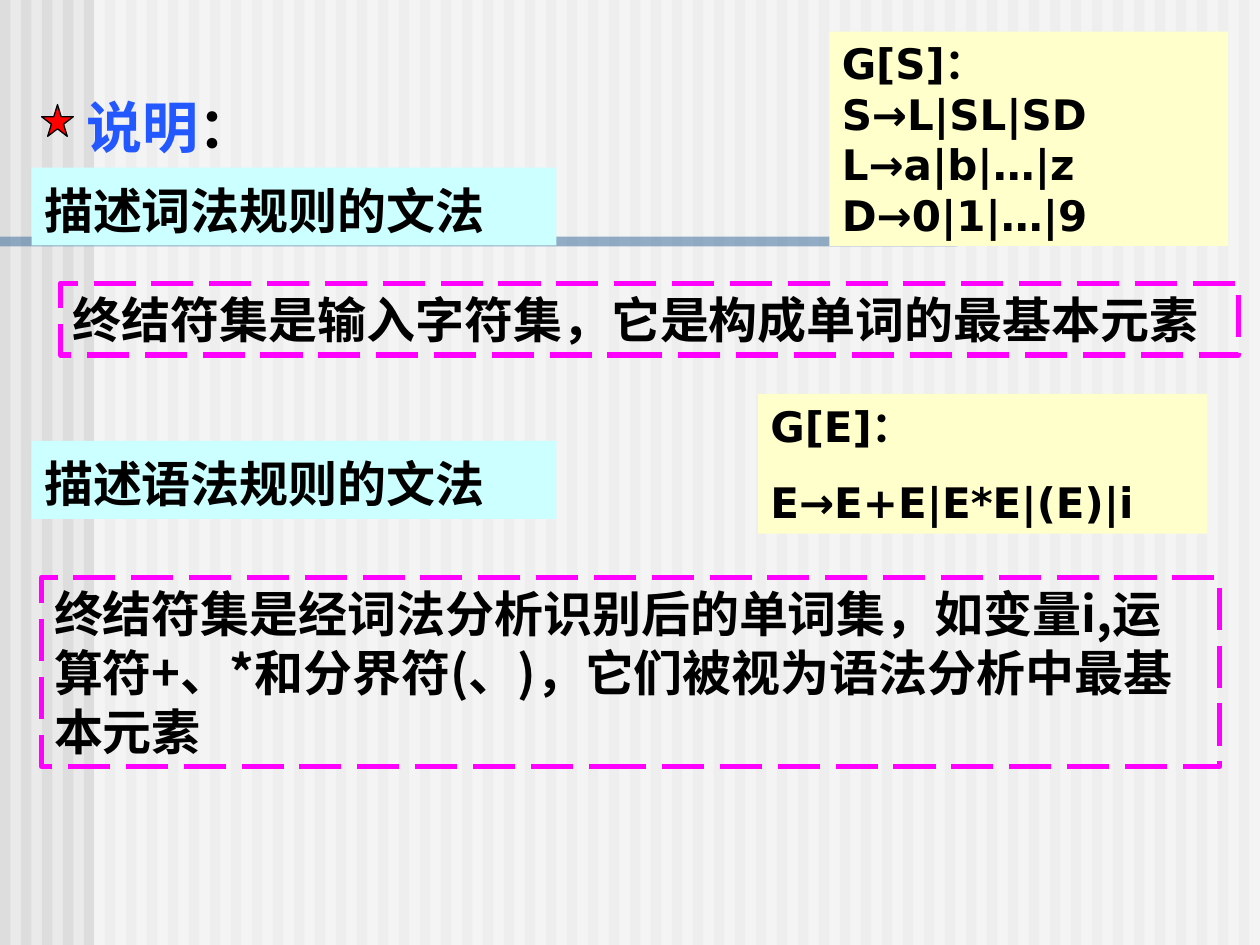
from lxml.etree import SubElement
from pptx import Presentation
from pptx.dml.color import RGBColor
from pptx.enum.dml import MSO_LINE
from pptx.enum.shapes import MSO_SHAPE
from pptx.enum.text import MSO_ANCHOR, MSO_AUTO_SIZE, PP_ALIGN
from pptx.oxml.ns import qn
from pptx.util import Cm, Pt

WIDE, HIGH = 25.4, 19.05
SANS, HAN = "DejaVu Sans", "Noto Sans CJK SC"

deck = Presentation()
deck.slide_width, deck.slide_height = Cm(WIDE), Cm(HIGH)
slide = deck.slides.add_slide(deck.slide_layouts[5])


def paint(fill, tone, alpha=None):
    """Set a solid fill from a hex string; no tone means no fill."""
    if tone is None:
        fill.background()
        return
    fill.solid()
    fill.fore_color.rgb = RGBColor.from_string(tone)
    if alpha:
        clr = fill._xPr.find(qn("a:solidFill"))[0]
        SubElement(clr, qn("a:alpha"), val=str(alpha * 1000))


def put(text, at, shape=None, kind=MSO_SHAPE.RECTANGLE, fill=None, alpha=None,
        edge=None, weight=3, dash=None, size=28, font=HAN, tones=("000000",),
        anchor=MSO_ANCHOR.TOP, gap=0, lead=1):
    """Place a shape; lines are split at newlines, runs at tabs."""
    left, top, width, height = (Cm(n) for n in at)
    if shape is None:
        shape = slide.shapes.add_shape(kind, left, top, width, height)
        shape.shadow.inherit = False
    else:
        shape.left, shape.top = left, top
        shape.width, shape.height = width, height
    paint(shape.fill, fill, alpha)
    paint(shape.line.fill, edge)
    if edge:
        shape.line.width = Pt(weight)
        shape.line.dash_style = dash
    if not text:
        return
    frame = shape.text_frame
    frame.word_wrap = True
    frame.auto_size = MSO_AUTO_SIZE.NONE
    frame.vertical_anchor = anchor
    for i, line in enumerate(text.split("\n")):
        para = frame.add_paragraph() if i else frame.paragraphs[0]
        para.alignment = PP_ALIGN.LEFT
        para.line_spacing = lead
        para.space_before = Pt(gap if i else 0)
        for part, tone in zip(line.split("\t"), tones):
            run = para.add_run()
            run.text = part
            run.font.size, run.font.bold = Pt(size), True
            paint(run.font.fill, tone)
            run.font.name = font
            SubElement(run._r.get_or_add_rPr(), qn("a:ea"), typeface=font)


# Striped background, white veil and blue rule
paint(slide.background.fill, "EAEAEA")
for i in range(60):
    put("", (WIDE / 60 * i, 0, 0.21, HIGH), fill="DDDDDD")
put("", (1.9, 0, WIDE - 1.9, HIGH), fill="FFFFFF", alpha=50)
put("", (0, 4.77, 19.3, 0.2), fill="336699", alpha=50)

# Title, lifted above the background, with its star
title = slide.shapes.title
slide.shapes._spTree.append(title._element)
put("说明\t：", (1.48, 1.9, 6.56, 1.48), shape=title, size=32, font=SANS,
    tones=("2357FF", "000000"), lead=0.9)
put("", (0.84, 2.11, 0.64, 0.64), kind=MSO_SHAPE.STAR_5_POINT,
    fill="FF0000", edge="000000", weight=0.75)

# Dashed remarks
for text, at in (
    ("终结符集是输入字符集，它是构成单词的最基本元素",
     (1.22, 5.71, 23.75, 1.45)),
    ("终结符集是经词法分析识别后的单词集，如变量i,运算符+、*和分界符(、)，"
     "它们被视为语法分析中最基本元素", (0.84, 11.64, 23.75, 3.81)),
):
    put(text, at, edge="FF00FF", dash=MSO_LINE.LONG_DASH)

# Headings of the two grammars
for text, top in (("描述词法规则的文法", 3.38), ("描述语法规则的文法", 8.89)):
    put(text, (0.64, top, 10.58, 1.57), fill="CCFFFF",
        anchor=MSO_ANCHOR.BOTTOM)

# Grammar rules
for text, at, gap in (
    ("G[S]：\nS→L|SL|SD\nL→a|b|…|z\nD→0|1|…|9", (16.72, 0.64, 8.04, 4.32), 0),
    ("G[E]：\nE→E+E|E*E|(E)|i", (15.28, 7.94, 9.06, 2.82), 15),
):
    put(text, at, fill="FFFFCC", size=24, font=SANS, gap=gap)

deck.save("out.pptx")
